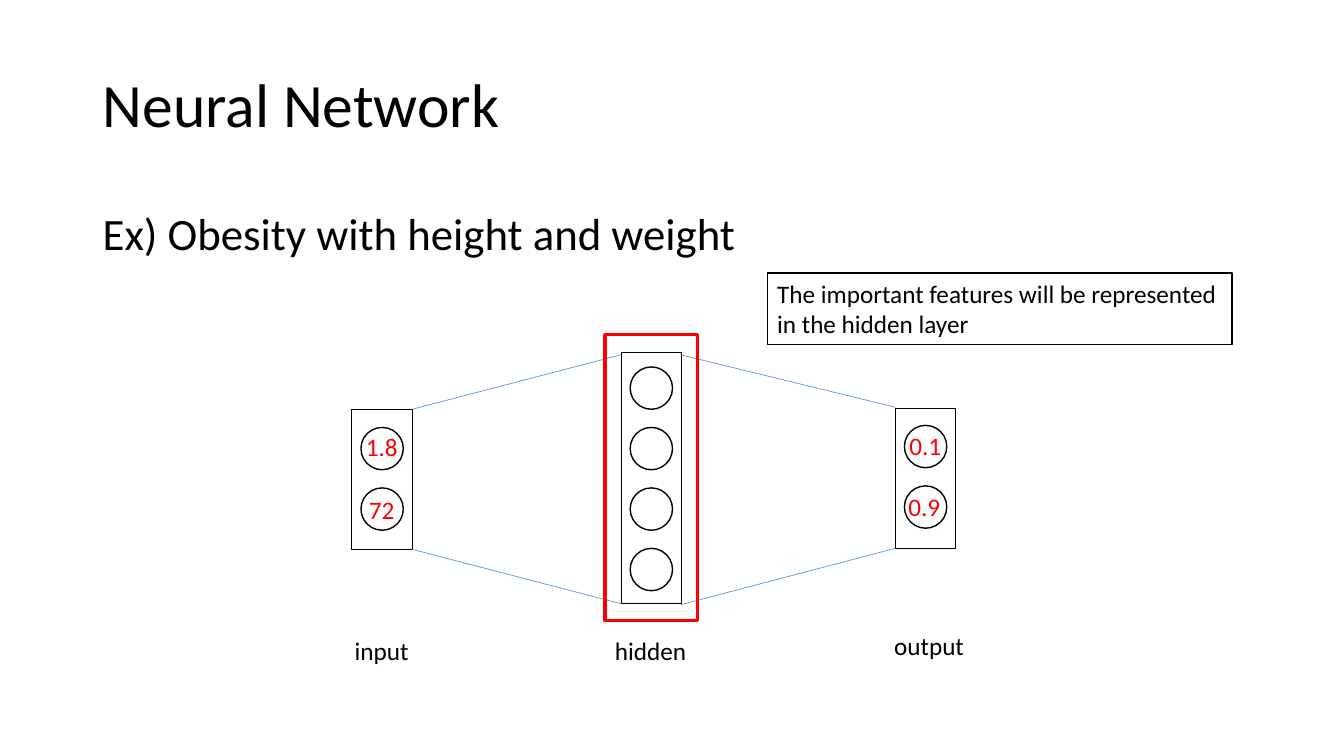
import pptx
import pptx.util
import pptx.dml.color
import pptx.enum.shapes
import pptx.enum.text
import pptx.oxml.ns
import lxml.etree

Inches = pptx.util.Inches
Pt = pptx.util.Pt
RGBColor = pptx.dml.color.RGBColor
MSO_SHAPE = pptx.enum.shapes.MSO_SHAPE
MSO_ANCHOR = pptx.enum.text.MSO_ANCHOR

BLACK = RGBColor(0x00, 0x00, 0x00)
WHITE = RGBColor(0xFF, 0xFF, 0xFF)
RED = RGBColor(0xFF, 0x00, 0x00)
BLUE = RGBColor(0x5B, 0x9B, 0xD5)

NODE_SIZE = 0.42
NODE_PITCH = 0.6
LAYER_WIDTH = 0.6

presentation = pptx.Presentation()
presentation.slide_width = Inches(13.33)
presentation.slide_height = Inches(7.5)
slide = presentation.slides.add_slide(presentation.slide_layouts[6])


def add_outlined(kind, box, color, width, fill=None):
    shape = slide.shapes.add_shape(kind, *map(Inches, box))
    shape.shadow.inherit = False
    if fill is None:
        shape.fill.background()
    else:
        shape.fill.solid()
        shape.fill.fore_color.rgb = fill
    shape.line.color.rgb = color
    shape.line.width = Pt(width)
    return shape


def add_text(box, lines, size, color=BLACK, wrap=False, anchor=MSO_ANCHOR.TOP):
    """Add a left-aligned text box with one paragraph per line."""
    text_box = slide.shapes.add_textbox(*map(Inches, box))
    frame = text_box.text_frame
    frame.word_wrap = wrap
    frame.vertical_anchor = anchor
    frame.text = "\n".join(lines)
    font_format = {"name": "Calibri", "size": Pt(size)}
    for paragraph in frame.paragraphs:
        for name, value in font_format.items():
            setattr(paragraph.font, name, value)
        paragraph.font.color.rgb = color
    return text_box


add_text((0.92, 0.3, 11.5, 1.45), ["Neural Network"], 44,
         wrap=True, anchor=MSO_ANCHOR.MIDDLE)
add_text((0.92, 1.99, 11.5, 4.76), ["Ex) Obesity with height and weight"], 32, wrap=True)

# Layers: left, top, height, first node top, node count
layers = [
    (3.49, 4.06, 1.39, 4.24, 2),
    (6.16, 3.5, 2.49, 3.64, 4),
    (8.88, 4.05, 1.39, 4.22, 2),
]
for left, top, height, node_top, node_count in layers:
    node_left = left + (LAYER_WIDTH - NODE_SIZE) / 2
    for index in range(node_count):
        node_box = (node_left, node_top + index * NODE_PITCH, NODE_SIZE, NODE_SIZE)
        add_outlined(MSO_SHAPE.OVAL, node_box, BLACK, 1, WHITE)
    add_outlined(MSO_SHAPE.RECTANGLE, (left, top, LAYER_WIDTH, height), BLACK, 0.75)

# Links between neighbouring layers: start x, start y, end x, end y
links = [
    (4.09, 4.06, 6.16, 3.52),
    (4.09, 5.45, 6.16, 5.99),
    (6.75, 3.52, 8.88, 4.04),
    (6.75, 6, 8.88, 5.44),
]
for link in links:
    connector = slide.shapes.add_connector(
        pptx.enum.shapes.MSO_CONNECTOR.STRAIGHT, *map(Inches, link))
    connector.line.color.rgb = BLUE
    connector.line.width = Pt(0.5)
    lxml.etree.SubElement(connector._element.spPr, pptx.oxml.ns.qn("a:effectLst"))

# Node values and layer names: text, left, top, width, colour
labels = [
    ("1.8", 3.53, 4.23, 0.52, RED),
    ("72", 3.56, 4.85, 0.46, RED),
    ("0.1", 8.92, 4.22, 0.52, RED),
    ("0.9", 8.91, 4.83, 0.52, RED),
    ("input", 3.42, 6.25, 0.74, BLACK),
    ("hidden", 6, 6.25, 0.92, BLACK),
    ("output", 8.77, 6.2, 0.9, BLACK),
]
for text, left, top, width, color in labels:
    add_text((left, top, width, 0.4), [text], 18, color)

add_outlined(MSO_SHAPE.RECTANGLE, (6, 3.32, 0.92, 2.84), RED, 2.25)

callout = add_text(
    (7.61, 2.71, 4.61, 0.71),
    ["The important features will be represented", "in the hidden layer"], 18)
callout.fill.solid()
callout.fill.fore_color.rgb = WHITE
callout.line.color.rgb = BLACK
callout.line.width = Pt(1)

presentation.save("out.pptx")
